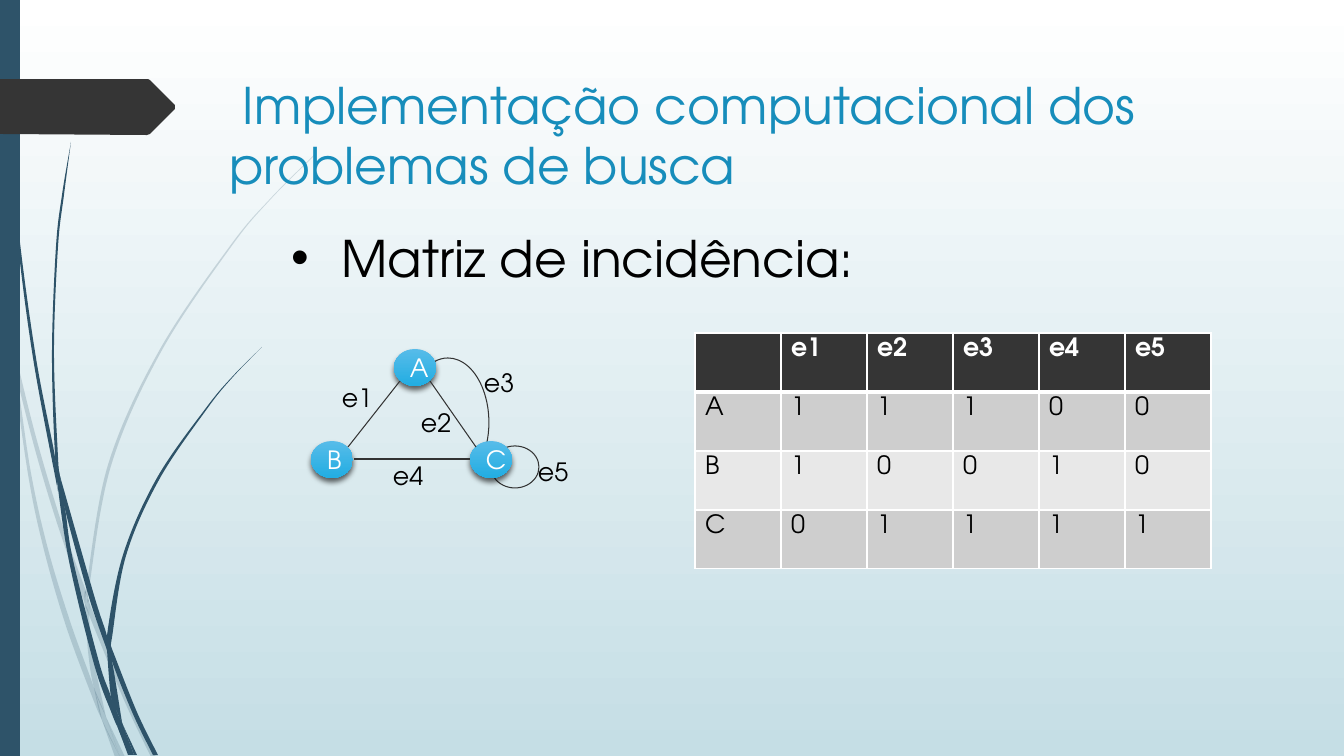
from lxml import etree
from pptx import Presentation
from pptx.dml.color import RGBColor
from pptx.enum.shapes import MSO_CONNECTOR, MSO_SHAPE
from pptx.enum.text import MSO_ANCHOR, PP_ALIGN
from pptx.oxml.ns import qn
from pptx.util import Emu, Pt

LEFT, CENTER = PP_ALIGN.LEFT, PP_ALIGN.CENTER
TOP, MIDDLE = MSO_ANCHOR.TOP, MSO_ANCHOR.MIDDLE
STRAIGHT = MSO_CONNECTOR.STRAIGHT
RECTANGLE, OVAL, ARC = MSO_SHAPE.RECTANGLE, MSO_SHAPE.OVAL, MSO_SHAPE.ARC
EMU_PER_PX = 914400 / 100.8
FONT = "TeX Gyre Adventor"
WHITE = RGBColor(0xFF, 0xFF, 0xFF)
BLACK = RGBColor(0, 0, 0)
PALE_BLUE = RGBColor(0xC5, 0xDE, 0xE5)
NAVY = RGBColor(0x2E, 0x53, 0x69)
TITLE_BLUE = RGBColor(0x17, 0x8D, 0xBB)
NODE_LIGHT = RGBColor(0x57, 0xBC, 0xE9)
NODE_DARK = RGBColor(0x22, 0xAD, 0xE2)
CHARCOAL = RGBColor(0x35, 0x35, 0x35)
EDGE_GRAY = RGBColor(0x33, 0x33, 0x33)
BAND_DARK = RGBColor(0xCE, 0xCE, 0xCE)
BAND_LIGHT = RGBColor(0xE8, 0xE8, 0xE8)
LIGHT_WISPS = [
    ([(0, 284), (9, 325), (11, 353)], [(0, 301), (10, 347), (11, 353)]),
    ([(14, 348), (36, 437), (62, 524), (86, 591)], [(17, 379), (36, 453), (58, 526), (85, 604)]),
    ([(89, 601), (93, 612), (128, 698), (156, 757)], [(89, 615), (124, 700), (151, 757)]),
    ([(106, 717), (125, 757)], [(106, 717), (120, 757)]),
    ([(11, 353), (17, 379), (31, 473), (48, 549), (71, 624), (94, 688), (102, 720)],
     [(11, 353), (28, 474), (44, 550), (66, 626), (93, 699), (102, 720)]),
    ([(85, 604), (89, 615), (92, 651), (106, 717)], [(85, 604), (88, 651), (94, 688), (106, 717)]),
    ([(315, 154), (270, 199), (230, 246), (159, 351), (108, 465), (86, 589), (85, 591)],
     [(315, 155), (270, 200), (231, 247), (161, 352), (111, 466), (89, 589), (89, 601)]),
    ([(102, 720), (120, 757)], [(102, 720), (115, 757)]),
    ([(85, 591), (89, 601), (89, 615)], [(85, 591), (85, 604), (89, 615)]),
    ([(94, 688), (106, 717), (120, 757)], [(94, 688), (102, 720), (120, 757)]),
]
DARK_WISPS = [
    ([(4, 0), (5, 48), (8, 110), (19, 234), (36, 358), (55, 457), (57, 485)],
     [(3, 0), (4, 48), (7, 111), (17, 235), (33, 358), (56, 481), (57, 485)]),
    ([(60, 476), (94, 595), (107, 636), (107, 650)], [(60, 476), (65, 509), (89, 597), (107, 650)]),
    ([(111, 646), (114, 654), (137, 712), (158, 755)], [(111, 646), (112, 661), (133, 714), (153, 755)]),
    ([(57, 481), (65, 509), (73, 560), (99, 662), (111, 697), (118, 728)],
     [(57, 481), (69, 561), (94, 664), (112, 714), (118, 728)]),
    ([(71, 142), (64, 195), (58, 247), (54, 352), (58, 457), (60, 476)],
     [(71, 142), (62, 195), (56, 247), (52, 352), (55, 453), (60, 476)]),
    ([(123, 725), (137, 755)], [(123, 725), (134, 755)]),
    ([(55, 453), (60, 476), (65, 509)], [(55, 453), (57, 481), (65, 509)]),
    ([(262, 347), (233, 377), (207, 409), (159, 480), (126, 556), (112, 638), (111, 646)],
     [(262, 347), (233, 376), (206, 408), (157, 478), (123, 555), (107, 636), (111, 646)]),
    ([(118, 728), (132, 755)], [(118, 728), (128, 755)]),
    ([(107, 650), (112, 661), (122, 722), (123, 725)], [(107, 650), (111, 697), (117, 712), (123, 725)]),
    ([(107, 636), (111, 646), (112, 661)], [(107, 636), (107, 650), (112, 661)]),
    ([(111, 697), (117, 712), (123, 725), (134, 755)], [(111, 697), (118, 728), (131, 755)]),
]
TAG_OUTLINE = [(0, 79), (148, 79), (150, 80), (175, 105), (175, 109), (150, 134), (147, 135), (0, 134)]
NODES = {"B": (311, 441), "A": (394, 349), "C": (470, 441)}
EDGES = [(348, 447, 400, 381), (476, 447, 430, 381), (354, 459, 470, 459)]
EDGE_LABELS = {"e3": (474, 362), "e5": (528, 451), "e4": (383, 455), "e2": (411, 402), "e1": (332, 377)}
INCIDENCE = [["", "e1", "e2", "e3", "e4", "e5"], [*"A11100"], [*"B10010"], [*"C01111"]]


def px(*lengths):
    return [Emu(round(length * EMU_PER_PX)) for length in lengths]


def add_xml(parent, tag, **attributes):
    return etree.SubElement(parent, qn(tag), {name: str(value) for name, value in attributes.items()})


def write(frame, text, size=18, color=BLACK, bold=False, align=LEFT, anchor=TOP, wrap=True):
    frame.word_wrap = wrap
    frame.vertical_anchor = anchor
    paragraph = frame.paragraphs[0]
    paragraph.alignment = align
    paragraph.space_before = Pt(0)
    run = paragraph.add_run()
    run.text = text
    run.font.name, run.font.size, run.font.bold = FONT, Pt(size), bold
    run.font.color.rgb = color
    return paragraph


def fill_gradient(fill, start, end):
    fill.gradient()
    fill.gradient_angle = 270
    for stop, color in zip(fill.gradient_stops, (start, end)):
        stop.color.rgb = color


def smooth_controls(points):
    ends = [points[0], *points, points[-1]]
    return [
        [[b + (c - a) / 6 for a, b, c in zip(before, start, end)],
         [c - (d - b) / 6 for b, c, d in zip(start, end, after)], end]
        for before, start, end, after in zip(ends, ends[1:], ends[2:], ends[3:])]


class GraphSlide:
    """Draws styled elements, measured in px, on one slide."""

    def __init__(self, presentation):
        self.slide = presentation.slides.add_slide(presentation.slide_layouts[1])
        self.shapes = self.slide.shapes
        fill_gradient(self.slide.background.fill, WHITE, PALE_BLUE)

    def polygon(self, points, color):
        corners = [px(*point) for point in points]
        builder = self.shapes.build_freeform(*corners[0], scale=1.0)
        builder.add_line_segments(corners[1:], close=True)
        return self.paint(builder.convert_to_shape(), color)

    def paint(self, shape, color):
        shape.shadow.inherit = False
        shape.line.fill.background()
        shape.fill.solid()
        shape.fill.fore_color.rgb = color
        return shape

    def wisp(self, edge, opposite_edge, opacity):
        back = opposite_edge[::-1]
        shape = self.polygon(edge + back, NAVY)
        curves = smooth_controls(edge) + [None] + smooth_controls(back)
        for line, curve in zip(list(shape._element.iter(qn("a:lnTo"))), curves):
            if curve:
                bend = etree.Element(qn("a:cubicBezTo"))
                for x, y in (px(*point) for point in curve):
                    add_xml(bend, "a:pt", x=x - shape.left, y=y - shape.top)
                line.getparent().replace(line, bend)
        if opacity < 100:
            color = next(shape._element.spPr.iter(qn("a:srgbClr")))
            add_xml(color, "a:alpha", val=opacity * 1000)

    def preset(self, kind, left, top, width, height):
        shape = self.shapes.add_shape(kind, *px(left, top, width, height))
        shape.shadow.inherit = False
        shape.fill.background()
        shape.line.fill.background()
        return shape

    def outline(self, shape):
        shape.line.color.rgb = EDGE_GRAY
        shape.line.width = Pt(0.75)

    def arc(self, box, *degrees):
        shape = self.preset(ARC, *box)
        for index, angle in enumerate(degrees):
            shape.adjustments[index] = angle * 0.6
        self.outline(shape)

    def edge(self, *ends):
        connector = self.shapes.add_connector(STRAIGHT, *px(*ends))
        self.outline(connector)
        add_xml(connector._element.spPr, "a:effectLst")

    def node(self, name, left, top):
        shape = self.preset(OVAL, left, top, 42, 37)
        fill_gradient(shape.fill, NODE_LIGHT, NODE_DARK)
        effects = shape._element.spPr.find(qn("a:effectLst"))
        shadow = add_xml(effects, "a:outerShdw", blurRad=Pt(4), dist=Pt(3), dir=5400000, rotWithShape=0)
        add_xml(add_xml(shadow, "a:srgbClr", val=BLACK), "a:alpha", val=60000)
        write(shape.text_frame, name, color=WHITE, align=CENTER, anchor=MIDDLE)

    def label(self, text, left, top):
        box = self.shapes.add_textbox(*px(left, top, 51, 40))
        write(box.text_frame, text, wrap=False)

    def placeholder(self, index, text, box, **style):
        shape = self.slide.placeholders[index]
        shape.left, shape.top, shape.width, shape.height = px(*box)
        shape._element.getparent().append(shape._element)
        return write(shape.text_frame, text, size=36, **style)

    def bullet(self, text, *box):
        properties = self.placeholder(1, text, box)._p.get_or_add_pPr()
        properties.set("marL", str(Pt(36)))
        properties.set("indent", str(-Pt(36)))
        add_xml(properties, "a:buFont", typeface="Arial")
        add_xml(properties, "a:buChar", char="•")

    def matrix(self, rows, left, top, column_width, row_height):
        columns = len(rows[0])
        box = px(left, top, column_width * columns, row_height * len(rows))
        table = self.shapes.add_table(len(rows), columns, *box).table
        for row_index, values in enumerate(rows):
            header = row_index == 0
            widths = {0: {"B": 3}, 1: {"T": 3}}.get(row_index, {})
            for column_index, value in enumerate(values):
                cell = table.cell(row_index, column_index)
                for side in "LRTB":
                    line = add_xml(cell._tc.get_or_add_tcPr(), f"a:ln{side}", w=Pt(widths.get(side, 1)))
                    add_xml(add_xml(line, "a:solidFill"), "a:srgbClr", val=WHITE)
                cell.fill.solid()
                cell.fill.fore_color.rgb = CHARCOAL if header else (BAND_LIGHT, BAND_DARK)[row_index % 2]
                if value:
                    write(cell.text_frame, value, color=WHITE if header else BLACK, bold=header)


def main():
    presentation = Presentation()
    presentation.slide_width, presentation.slide_height = px(1344, 756)
    graph = GraphSlide(presentation)
    for wisps, opacity in ((LIGHT_WISPS, 20), (DARK_WISPS, 100)):
        for edges in wisps:
            graph.wisp(*edges, opacity)
    graph.paint(graph.preset(RECTANGLE, 0, 0, 20, 756), NAVY)
    graph.polygon(TAG_OUTLINE, CHARCOAL)
    graph.arc((407, 358, 82, 129), 256.7, 30)
    graph.outline(graph.preset(OVAL, 491, 446, 48, 42))
    title = " Implementação computacional dos problemas de busca"
    graph.placeholder(0, title, (219, 69, 1048, 141), color=TITLE_BLUE)
    graph.bullet("Matriz de incidência:", 281, 222, 1026, 72)
    for name, place in NODES.items():
        graph.node(name, *place)
    for ends in EDGES:
        graph.edge(*ends)
    for text, place in EDGE_LABELS.items():
        graph.label(text, *place)
    graph.matrix(INCIDENCE, 695, 333, 86, 59)
    presentation.save("out.pptx")


if __name__ == "__main__":
    main()
